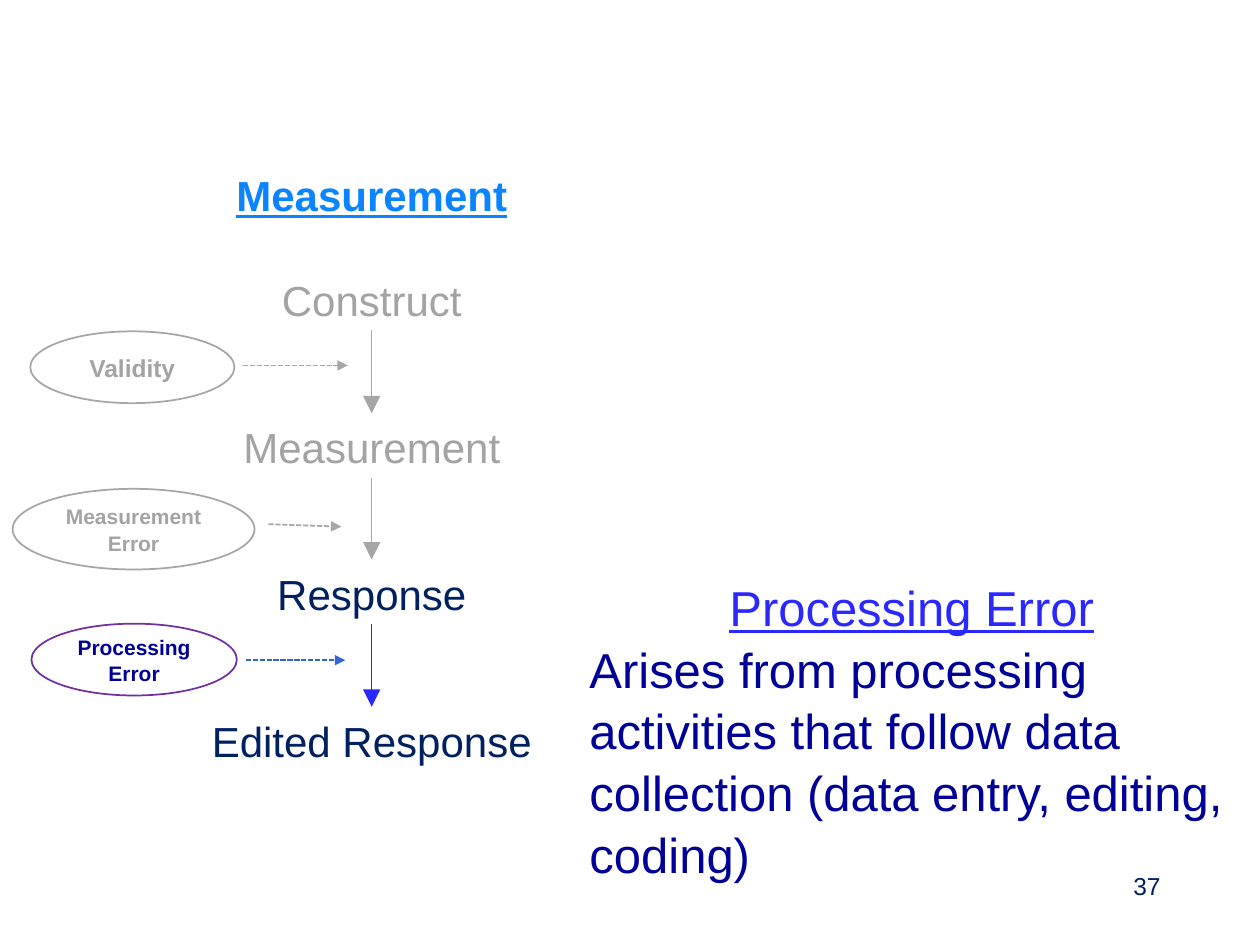
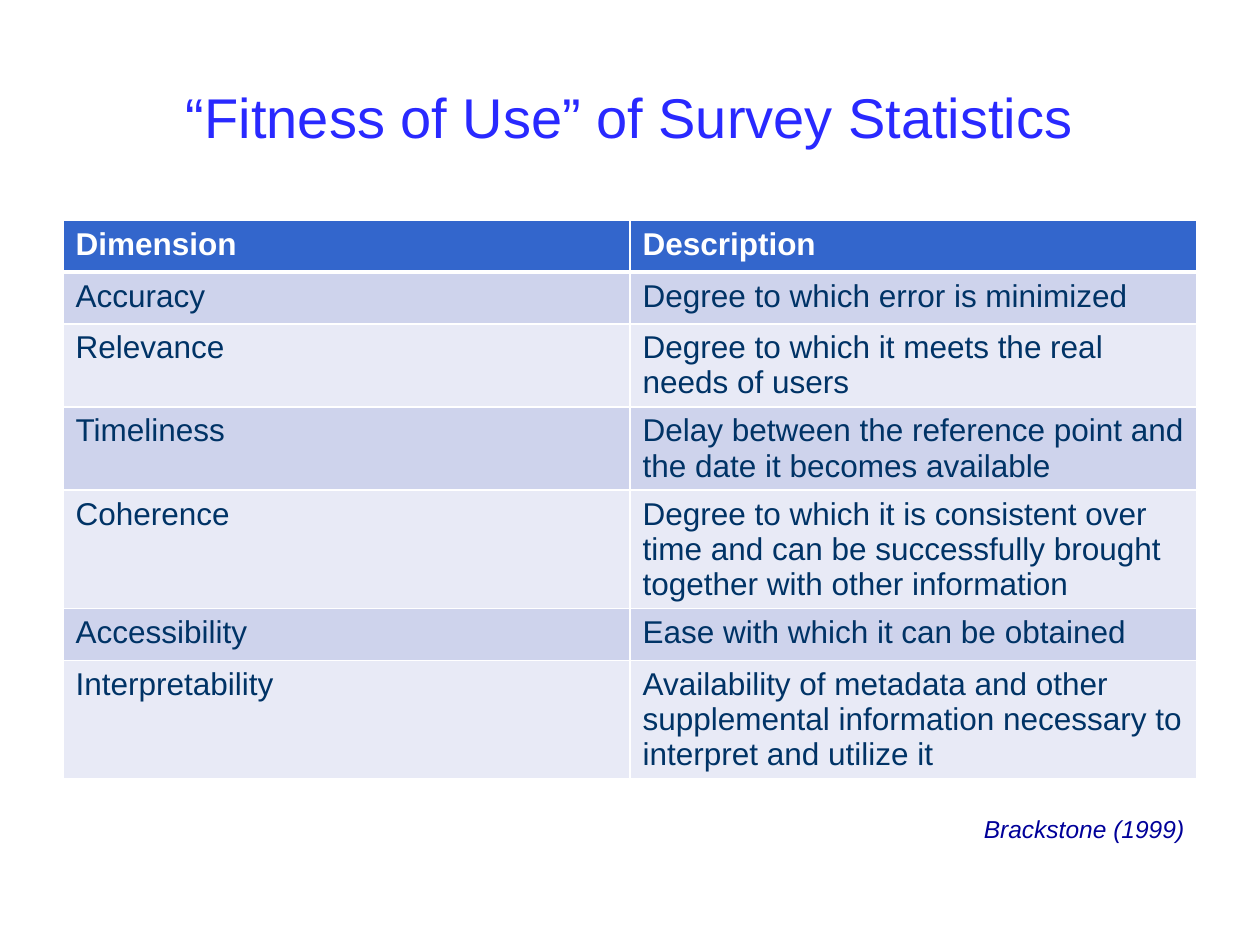
import pptx
import pptx.dml.color
import pptx.enum.dml
import pptx.enum.shapes
import pptx.enum.text
import pptx.oxml
import pptx.oxml.ns
import pptx.util

EMU_PER_PX = 9144  # 100 px to the inch
FONT = "Arial"
LINE_SPACING = 1.05

# Palette
BRIGHT_BLUE = "2929FF"
SKY_BLUE = "0A85FF"
DEEP_BLUE = "000099"
NAVY = "002060"
TABLE_BLUE = "3366CC"
TABLE_INK = "003366"
FADED_TEXT = "A3A3A3"
FADED_LINE = "A6A6A6"
PURPLE = "7030A0"
WHITE = "FFFFFF"
BANDS = ("CED3EC", "E8EAF6")

ALIGN = pptx.enum.text.PP_ALIGN
ANCHOR = pptx.enum.text.MSO_ANCHOR
SHAPE = pptx.enum.shapes.MSO_SHAPE


def px(length):
    return pptx.util.Emu(round(length * EMU_PER_PX))


def rgb(hex_color):
    return pptx.dml.color.RGBColor.from_string(hex_color)


def add_xml(parent, tag, inner="", **attributes):
    values = " ".join(f'{name}="{value}"' for name, value in attributes.items())
    namespace = pptx.oxml.ns.nsdecls("a")
    parent.append(pptx.oxml.parse_xml(f"<a:{tag} {namespace} {values}>{inner}</a:{tag}>"))


class Deck:
    """Holds the shared style and the current slide."""

    def __init__(self):
        self.presentation = pptx.Presentation()
        self.presentation.slide_width = px(1000)
        self.presentation.slide_height = px(750)
        self.slide = None

    def new_slide(self, layout_name):
        layout = self.presentation.slide_layouts.get_by_name(layout_name)
        self.slide = self.presentation.slides.add_slide(layout)

    def style(self, paragraph, size, color, align=ALIGN.LEFT, spacing=LINE_SPACING,
              bold=False, italic=False, underline=False):
        paragraph.alignment = align
        paragraph.line_spacing = spacing
        for run in paragraph.runs:
            font = run.font
            font.name, font.size = FONT, pptx.util.Pt(size)
            font.bold, font.italic, font.underline = bold, italic, underline
            font.color.rgb = rgb(color)

    def title(self, words):
        title = self.slide.shapes.title
        title.left, title.top, title.width, title.height = map(px, (50, 30, 900, 125))
        title.text_frame.text = words
        title.text_frame.vertical_anchor = ANCHOR.MIDDLE
        self.style(title.text_frame.paragraphs[0], 32, BRIGHT_BLUE, ALIGN.CENTER, 1.0)

    def text(self, words, box, size, color, wrap=True, **look):
        frame = self.slide.shapes.add_textbox(*map(px, box)).text_frame
        frame.word_wrap = wrap
        frame.text = words
        self.style(frame.paragraphs[0], size, color, **look)
        return frame

    def outlined(self, kind, words, box, size, color, line, width, anchor, bold=False):
        shape = self.slide.shapes.add_shape(kind, *map(px, box))
        shape.shadow.inherit = False
        shape.fill.background()
        shape.line.color.rgb = rgb(line)
        shape.line.width = pptx.util.Pt(width)
        shape.text_frame.word_wrap = True
        shape.text_frame.vertical_anchor = anchor
        shape.text_frame.text = words
        self.style(shape.text_frame.paragraphs[0], size, color, ALIGN.CENTER, bold=bold)

    def arrow(self, start, end, color, width, head, dashed=False):
        arrow = self.slide.shapes.add_connector(
            pptx.enum.shapes.MSO_CONNECTOR.STRAIGHT, *map(px, start + end))
        arrow.line.color.rgb = rgb(color)
        arrow.line.width = pptx.util.Pt(width)
        if dashed:
            arrow.line.dash_style = pptx.enum.dml.MSO_LINE.SQUARE_DOT
        properties = arrow.line._get_or_add_ln()
        add_xml(properties, "tailEnd", type="triangle", w=head, len=head)
        add_xml(properties.getparent(), "effectLst")

    def cell(self, cell, words, fill, color, edges, bold):
        properties = cell._tc.get_or_add_tcPr()
        paint = f'<a:solidFill><a:srgbClr val="{WHITE}"/></a:solidFill>'
        for edge, width in edges.items():
            add_xml(properties, f"ln{edge}", paint, w=pptx.util.Pt(width))
        cell.fill.solid()
        cell.fill.fore_color.rgb = rgb(fill)
        cell.text_frame.text = words
        self.style(cell.text_frame.paragraphs[0], 18, color, spacing=1.0, bold=bold)

    def table(self, rows, left, top, width, row_height):
        table = self.slide.shapes.add_table(
            len(rows), len(rows[0]), px(left), px(top), px(width),
            px(row_height * len(rows))).table
        for r, row in enumerate(rows):
            header = r == 0
            fill = TABLE_BLUE if header else BANDS[(r - 1) % 2]
            color = WHITE if header else TABLE_INK
            edges = {"L": 1, "R": 1, "T": 1, "B": 3} if header else {"L": 1, "R": 1, "B": 1}
            for c, words in enumerate(row):
                self.cell(table.cell(r, c), words, fill, color, edges, header)


def measurement_slide(deck):
    deck.new_slide("Blank")
    deck.text("Measurement", (156, 128, 278, 50), 24, SKY_BLUE,
              align=ALIGN.CENTER, bold=True, underline=True)

    # Steps of the measurement process, evenly spaced
    steps = ("Construct", "Measurement", "Response", "Edited Response")
    tops = [round(211 + i * 350 / 3) for i in range(len(steps))]
    for i, (step, top) in enumerate(zip(steps, tops)):
        box = (144, top, 302, 50)
        if i < 2:
            deck.text(step, box, 24, FADED_TEXT, align=ALIGN.CENTER)
        else:
            deck.outlined(SHAPE.RECTANGLE, step, box, 24, NAVY, WHITE, 0.75, ANCHOR.TOP)

    # Arrows between consecutive steps
    for top, next_top, color in zip(tops, tops[1:], (FADED_LINE, FADED_LINE, BRIGHT_BLUE)):
        deck.arrow((295, top + 51), (295, next_top), color, 0.75, "lg")

    # Error sources pointing at the arrows
    sources = (
        ("Validity", (24, 263, 162, 57), 14, FADED_TEXT, FADED_LINE,
         (193, 290), (276, 290), FADED_LINE),
        ("Measurement Error", (10, 388, 192, 64), 12, FADED_TEXT, FADED_LINE,
         (213, 416), (271, 418), FADED_LINE),
        ("Processing Error", (25, 495, 163, 57), 12, DEEP_BLUE, PURPLE,
         (195, 524), (274, 524), TABLE_BLUE),
    )
    for source, box, size, color, outline, start, end, pointer in sources:
        deck.outlined(SHAPE.OVAL, source, box, size, color, outline, 1, ANCHOR.MIDDLE, True)
        deck.arrow(start, end, pointer, 1, "med", dashed=True)

    # Definition
    definition = deck.text("Processing Error", (458, 451, 531, 246), 28, BRIGHT_BLUE,
                           align=ALIGN.CENTER, underline=True)
    meaning = definition.add_paragraph()
    meaning.text = ("Arises from processing activities that follow data collection "
                    "(data entry, editing, coding)")
    deck.style(meaning, 28, DEEP_BLUE)

    # Page number
    deck.text("37", (706, 685, 225, 40), 14, NAVY, align=ALIGN.RIGHT)


def fitness_slide(deck):
    deck.new_slide("Title Only")
    deck.title("“Fitness of Use” of Survey Statistics")
    dimensions = (
        ("Dimension", "Description"),
        ("Accuracy", "Degree to which error is minimized"),
        ("Relevance", "Degree to which it meets the real needs of users"),
        ("Timeliness", "Delay between the reference point and the date it becomes available"),
        ("Coherence", "Degree to which it is consistent over time and can be "
                      "successfully brought together with other information"),
        ("Accessibility", "Ease with which it can be obtained"),
        ("Interpretability", "Availability of metadata and other supplemental "
                             "information necessary to interpret and utilize it"),
    )
    deck.table(dimensions, 50, 175, 900, 41)
    deck.text("Brackstone (1999)", (770, 640, 180, 34), 14, DEEP_BLUE, wrap=False,
              align=ALIGN.RIGHT, italic=True)


def main():
    deck = Deck()
    measurement_slide(deck)
    fitness_slide(deck)
    deck.presentation.save("out.pptx")


if __name__ == "__main__":
    main()
